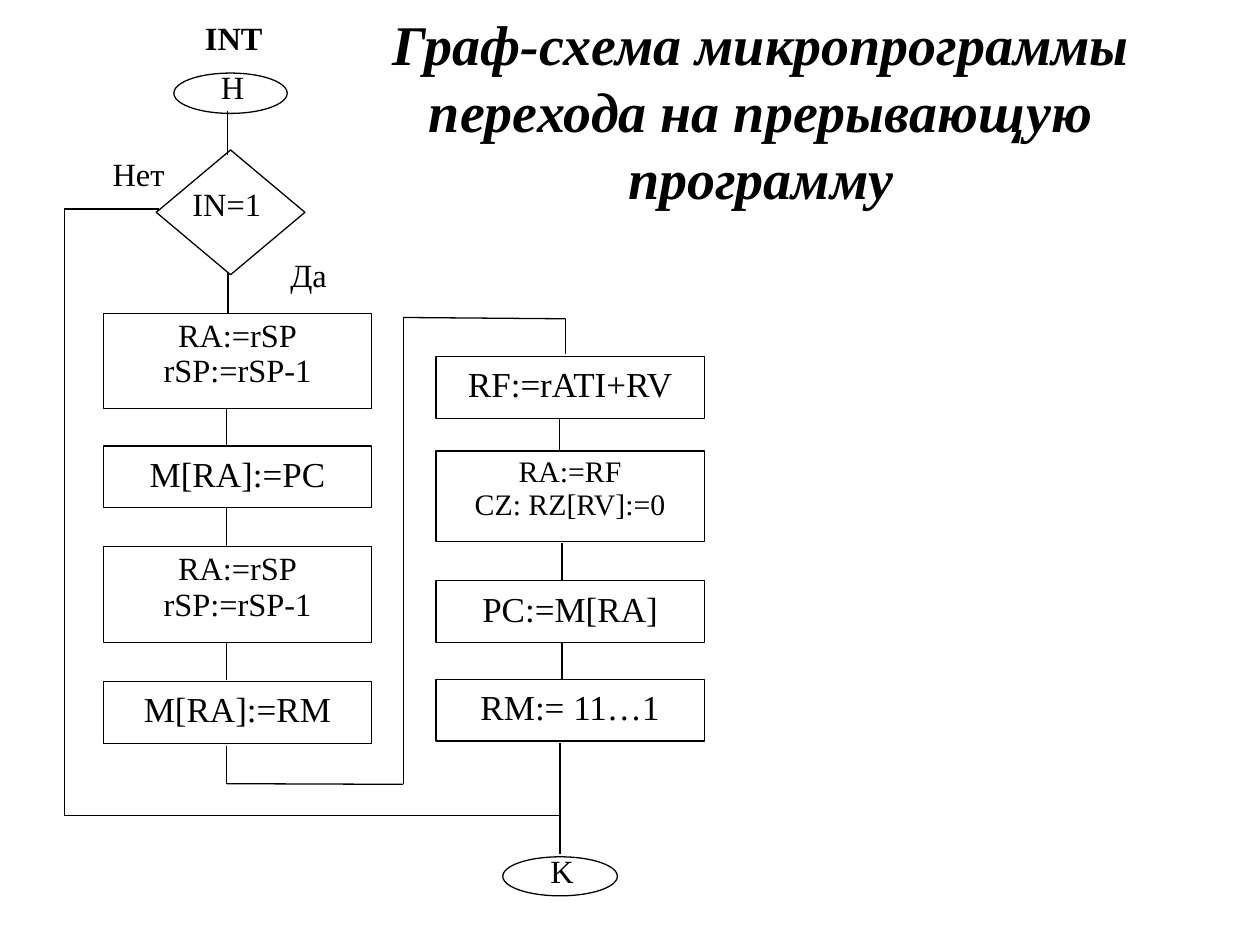
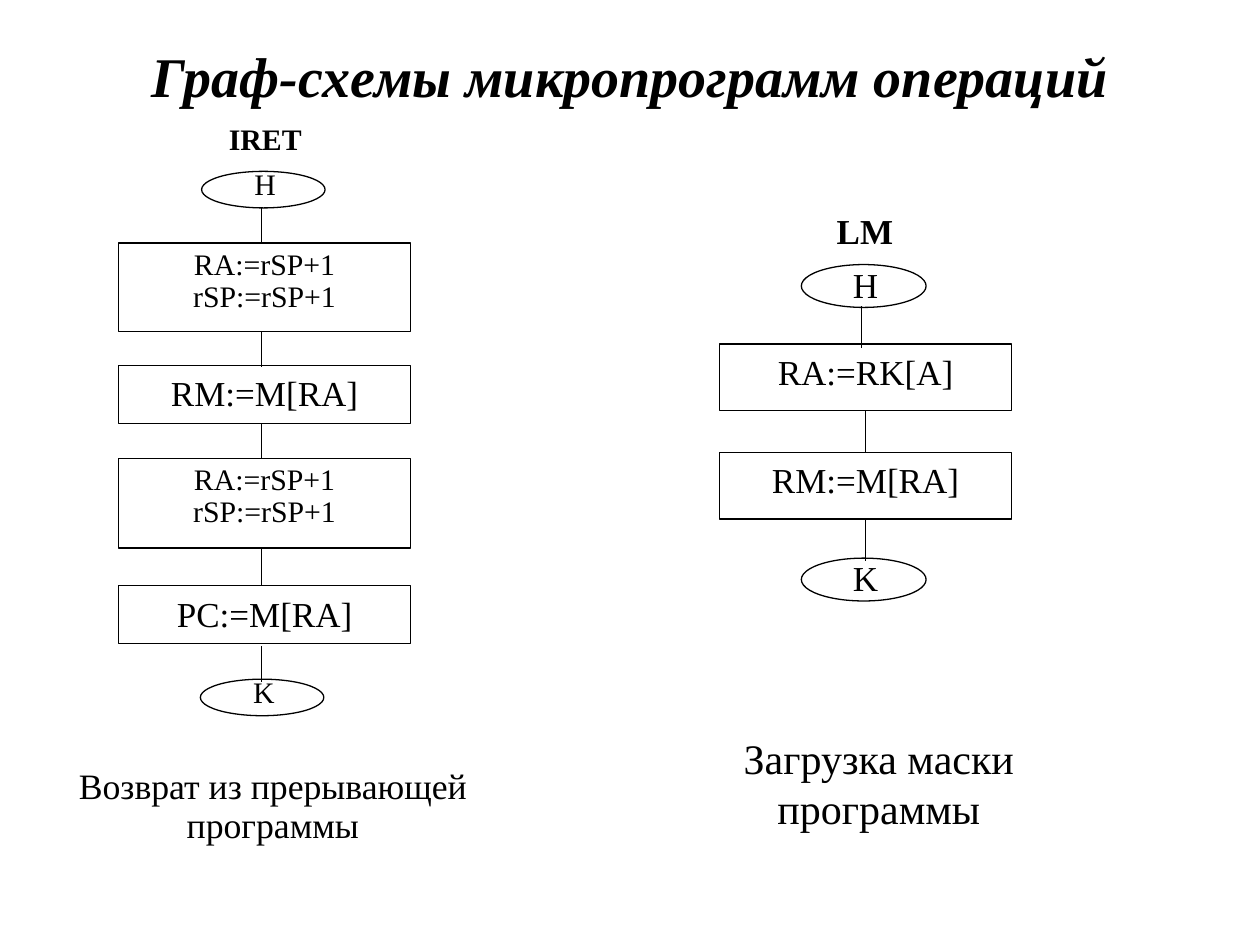
from collections import namedtuple

import pptx
import pptx.dml.color
import pptx.enum.shapes
import pptx.enum.text
import pptx.oxml.ns
import pptx.util
from lxml import etree

SLIDE_WIDTH = pptx.util.Inches(10)
SLIDE_HEIGHT = pptx.util.Inches(7.5)
COLUMNS, ROWS = 100, 75
FONT = "Times New Roman"
INK = "000000"
OUTLINE = 0.75

SHAPE = pptx.enum.shapes.MSO_SHAPE
ANCHOR = pptx.enum.text.MSO_ANCHOR

Style = namedtuple("Style", "size spacing bold italic", defaults=(None, False, False))
TITLE = Style(32, bold=True, italic=True)
COMMAND = Style(20)
HEADING = Style(20, bold=True)
BRANCH = Style(18.5, 0.9)
BRANCH_HEADING = Style(18.5, 0.9, bold=True)
COMPACT = Style(17, 0.9)
COMPACT_HEADING = Style(17, 0.9, bold=True)
RETURN_CAPTION = Style(20.4, 0.9)
LOAD_CAPTION = Style(24)

PUSH = ("RA:=rSP", "rSP:=rSP-1")
POP = ("RA:=rSP+1", "rSP:=rSP+1")


def color(value):
    return pptx.dml.color.RGBColor.from_string(value)


def across(columns):
    return round(SLIDE_WIDTH * columns / COLUMNS)


def down(rows):
    return round(SLIDE_HEIGHT * rows / ROWS)


def place(left, top, width, height):
    return across(left), down(top), across(width), down(height)


def write(shape, lines, style, anchor=ANCHOR.TOP):
    frame = shape.text_frame
    frame.word_wrap = True
    frame.vertical_anchor = anchor
    for index, line in enumerate(lines):
        paragraph = frame.add_paragraph() if index else frame.paragraphs[0]
        paragraph.alignment = pptx.enum.text.PP_ALIGN.CENTER
        paragraph.line_spacing = style.spacing
        run = paragraph.add_run()
        run.text = line
        run.font.name = FONT
        run.font.size = pptx.util.Pt(style.size)
        run.font.bold = style.bold
        run.font.italic = style.italic
        run.font.color.rgb = color(INK)


def label(shapes, area, text, style, anchor=ANCHOR.TOP):
    write(shapes.add_textbox(*place(*area)), [text], style, anchor)


def draw_line(line):
    line.color.rgb = color(INK)
    line.width = pptx.util.Pt(OUTLINE)


def outline(shapes, kind, area):
    shape = shapes.add_shape(kind, *place(*area))
    shape.shadow.inherit = False
    shape.fill.background()
    draw_line(shape.line)
    return shape


def step(shapes, area, lines, style):
    box = outline(shapes, SHAPE.RECTANGLE, area)
    write(box, lines, style)
    return box


def terminal(shapes, area, letter, style):
    left, top, width, height = area
    outline(shapes, SHAPE.OVAL, area)
    label(shapes, (left - 1.4, top - 0.6, width + 3.1, height + 1.2), letter, style)


def link(shapes, start, end):
    connector = shapes.add_connector(
        pptx.enum.shapes.MSO_CONNECTOR.STRAIGHT,
        across(start[0]), down(start[1]), across(end[0]), down(end[1]))
    draw_line(connector.line)
    properties = connector._element.spPr
    etree.SubElement(properties, pptx.oxml.ns.qn("a:effectLst"))
    return connector


def drops(shapes, spans):
    for column, top, bottom in spans:
        link(shapes, (column, top), (column, bottom))


def route(shapes, points):
    for start, end in zip(points, points[1:]):
        link(shapes, start, end)


def column_of_steps(shapes, left, width, steps):
    return [step(shapes, (left, top, width, height), lines, style)
            for top, height, lines, style in steps]


def interrupt_entry(slide):
    shapes = slide.shapes
    label(shapes, (23.2, 0.9, 74.4, 15.7),
          "Граф-схема микропрограммы перехода на прерывающую программу",
          TITLE, ANCHOR.MIDDLE)

    label(shapes, (12.5, 1.3, 12.1, 4.3), "INT", BRANCH_HEADING)
    terminal(shapes, (13.8, 5.8, 9, 3.2), "Н", BRANCH)
    outline(shapes, SHAPE.DIAMOND, (12.4, 11.9, 11.8, 9.9))
    for left, top, text in ((12, 14.5, "IN=1"), (5, 12.1, "Нет"), (18.5, 20.1, "Да")):
        label(shapes, (left, top, 12, 4.3), text, BRANCH)

    column_of_steps(shapes, 8.2, 21.3, [
        (24.9, 7.5, PUSH, BRANCH),
        (35.4, 4.9, ["M[RA]:=PC"], COMMAND),
        (43.4, 7.6, PUSH, BRANCH),
        (54.1, 4.9, ["M[RA]:=RM"], COMMAND),
    ])
    column_of_steps(shapes, 34.6, 21.3, [
        (28.3, 4.9, ["RF:=rATI+RV"], COMMAND),
        (35.8, 7.2, ["RA:=RF", "CZ: RZ[RV]:=0"], COMPACT),
        (46.1, 4.9, ["PC:=M[RA]"], COMMAND),
        (53.9, 4.9, ["RM:= 11…1"], COMMAND),
    ])
    terminal(shapes, (39.9, 68, 9.1, 3.1), "K", BRANCH)

    drops(shapes, [
        (18.05, 8.8, 12.3), (18.1, 21.7, 24.9), (18, 32.4, 35.5),
        (18, 40.3, 43.4), (18, 51, 54), (44.4, 33.2, 35.7),
        (44.6, 43.1, 46.1), (44.6, 51, 54), (44.45, 59, 67.8),
    ])
    route(shapes, [(18, 59.2), (18, 62.2), (32, 62.25), (32, 25.2),
                   (44.9, 25.3), (44.9, 28.1)])
    route(shapes, [(12.6, 16.6), (5.1, 16.6), (5.1, 64.7), (44.5, 64.7)])


def interrupt_return(shapes):
    label(shapes, (14.5, 9.4, 13.1, 4), "IRET", COMPACT_HEADING)
    terminal(shapes, (16, 13.6, 9.8, 2.9), "Н", COMPACT)
    column_of_steps(shapes, 9.4, 23.2, [
        (19.3, 7, POP, COMPACT),
        (29, 4.6, ["RM:=M[RA]"], COMMAND),
        (36.4, 7.1, POP, COMPACT),
        (46.5, 4.6, ["PC:=M[RA]"], COMMAND),
    ])
    terminal(shapes, (15.9, 53.9, 9.8, 2.9), "K", COMPACT)
    drops(shapes, [(20.75, top, top + 2.8)
                   for top in (16.5, 26.3, 33.6, 43.6, 51.3)])


def mask_load(shapes):
    label(shapes, (62.1, 16.1, 13.1, 4.7), "LM", HEADING)
    terminal(shapes, (63.6, 21, 9.9, 3.4), "Н", COMMAND)
    address, mask = column_of_steps(shapes, 57.1, 23.2, [
        (27.3, 5.3, ["RA:=RK[A]"], COMMAND),
        (35.9, 5.3, ["RM:=M[RA]"], COMMAND),
    ])
    terminal(shapes, (63.6, 44.3, 9.9, 3.4), "K", COMMAND)
    drops(shapes, [(68.4, 24.3, 27.6)])
    fetch = link(shapes, (68.7, 32.6), (68.7, 35.9))
    fetch.begin_connect(address, 2)
    fetch.end_connect(mask, 0)
    finish = link(shapes, (68.7, 41.2), (68.7, 44.5))
    finish.begin_connect(mask, 2)


def operations(slide):
    shapes = slide.shapes
    label(shapes, (5, 1.3, 90, 9.3), "Граф-схемы микропрограмм операций",
          TITLE, ANCHOR.MIDDLE)
    interrupt_return(shapes.add_group_shape().shapes)
    mask_load(shapes.add_group_shape().shapes)
    label(shapes, (4.7, 58.6, 33.9, 11), "Возврат из прерывающей программы",
          RETURN_CAPTION, ANCHOR.MIDDLE)
    label(shapes, (52.8, 56.6, 33.9, 11), "Загрузка маски программы",
          LOAD_CAPTION, ANCHOR.MIDDLE)


def main():
    deck = pptx.Presentation()
    deck.slide_width = SLIDE_WIDTH
    deck.slide_height = SLIDE_HEIGHT
    blank = deck.slide_layouts[6]
    for build in (interrupt_entry, operations):
        build(deck.slides.add_slide(blank))
    deck.save("out.pptx")


if __name__ == "__main__":
    main()
